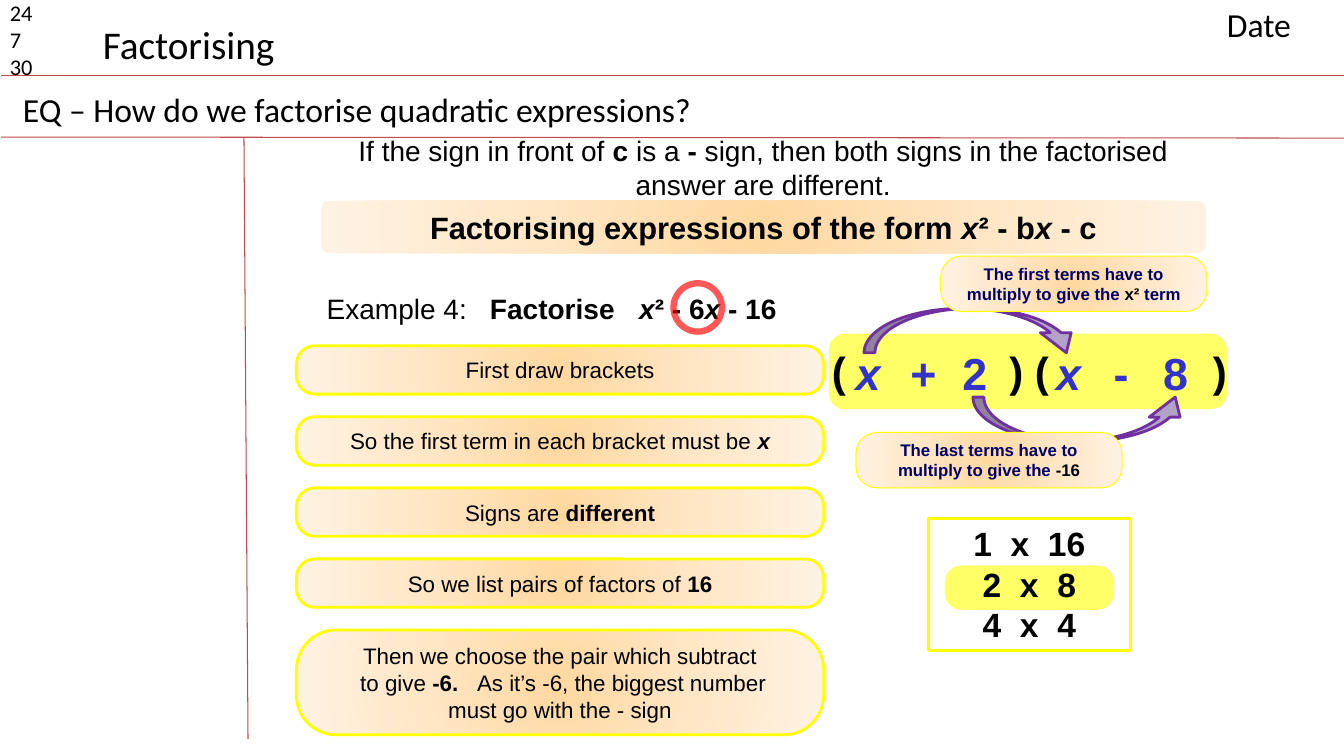
from pptx import Presentation
from pptx.dml.color import RGBColor
from pptx.enum.shapes import MSO_CONNECTOR as Conn, MSO_SHAPE as Kind
from pptx.enum.text import MSO_ANCHOR as Anchor, MSO_AUTO_SIZE as Auto, PP_ALIGN as Align
from pptx.oxml import parse_xml
from pptx.oxml.ns import nsdecls, qn
from pptx.util import Inches, Pt
from lxml import etree

YELLOW, LEMON, BLACK, NAVY, BLUE = "FFFF00", "FFFF66", "000000", "000066", "3333CC"
GLOW = ((0, "FFD8A0"), (50, "FFE6C5"), (100, "FFF2E3"))
BOLD = {"bold": True}
ITALIC = {"italic": True}
BOTH = {"bold": True, "italic": True}
DARK = {"color": BLACK}


def rgb(code):
    return RGBColor.from_string(code)


def style(font, values):
    for key, value in values.items():
        if key == "color":
            font.color.rgb = rgb(value)
        else:
            setattr(font, key, Pt(value) if key == "size" else value)


def write(shape, lines, align=Align.CENTER, anchor=Anchor.TOP, wrap=True,
          inset=(0.1, 0.05), tabs=(), **base):
    """Fill a shape with lines; each is a list of plain strings or (text, format) pairs."""
    frame = shape.text_frame
    side, edge = (Inches(n) for n in inset)
    values = {"auto_size": Auto.NONE, "word_wrap": wrap, "vertical_anchor": anchor,
              "margin_left": side, "margin_right": 0 if tabs else side,
              "margin_top": edge, "margin_bottom": edge}
    for key, value in values.items():
        setattr(frame, key, value)
    base = {"name": "Arial", "size": 16, "color": BLACK, **base}
    for i, line in enumerate(lines):
        para = frame.paragraphs[0] if i == 0 else frame.add_paragraph()
        para.alignment = align
        if tabs:
            stops = etree.SubElement(para._p.get_or_add_pPr(), qn("a:tabLst"))
            for stop in tabs:
                etree.SubElement(stops, qn("a:tab"), pos=str(Inches(stop)), algn="l")
        for part in line:
            text, extra = (part, {}) if isinstance(part, str) else part
            run = para.add_run()
            run.text = text
            style(run.font, {**base, **extra})


def label(slide, box, lines, **look):
    text = slide.shapes.add_textbox(*map(Inches, box))
    write(text, lines, **look)


def glow(shape):
    """Give the shape a radial gradient."""
    shape.fill.background()
    stops = "".join(f'<a:gs pos="{at * 1000}"><a:srgbClr val="{code}"/></a:gs>'
                    for at, code in GLOW)
    grad = parse_xml(
        f'<a:gradFill {nsdecls("a")} rotWithShape="1"><a:gsLst>{stops}</a:gsLst>'
        '<a:path path="circle"><a:fillToRect l="50000" t="50000" r="50000" b="50000"/>'
        '</a:path></a:gradFill>')
    props = shape._element.spPr
    props.replace(props.find(qn("a:noFill")), grad)


def draw(slide, kind, box, fill=None, line=None, width=1, adj=()):
    shape = slide.shapes.add_shape(kind, *map(Inches, box))
    shape.shadow.inherit = False
    for i, value in enumerate(adj):
        shape.adjustments[i] = value
    if fill == GLOW:
        glow(shape)
    elif fill:
        shape.fill.solid()
        shape.fill.fore_color.rgb = rgb(fill)
    else:
        shape.fill.background()
    if line:
        shape.line.color.rgb = rgb(line)
        shape.line.width = Pt(width)
    else:
        shape.line.fill.background()
    return shape


def card(slide, box, lines, width=2, **look):
    shape = draw(slide, Kind.ROUNDED_RECTANGLE, box, GLOW, YELLOW, width, [0.378])
    write(shape, lines, anchor=Anchor.MIDDLE, **look)


def rule(slide, ends):
    line = slide.shapes.add_connector(Conn.STRAIGHT, *map(Inches, ends))
    line.line.color.rgb = rgb("BF4C48")
    line.line.width = Pt(0.75)
    etree.SubElement(line._element.spPr, qn("a:effectLst"))


def hint(slide, arrow, box, lines, flip=False):
    """Draw a curved arrow with its callout on top."""
    curve = draw(slide, Kind.CURVED_DOWN_ARROW, arrow, "B3A2C7", "7030A0", 2,
                 [0.246, 0.696, 0.452])
    if flip:
        curve._element.spPr.find(qn("a:xfrm")).set("flipV", "1")
    card(slide, box, lines, 0.75, inset=(0.15, 0), size=12, color=NAVY, bold=True)


def header(slide):
    for ends in ((0.01, 0.75, 13.33, 0.75), (0.01, 1.36, 13.33, 1.37),
                 (2.42, 1.37, 2.46, 7.33)):
        rule(slide, ends)
    title = slide.shapes.title
    spots = {"left": 0.92, "top": 0.15, "width": 1.92, "height": 0.57}
    for key, value in spots.items():
        setattr(title, key, Inches(value))
    look = {"align": Align.LEFT, "name": "Calibri"}
    write(title, [["Factorising"]], wrap=False, size=28, **look)
    label(slide, (0, -0.06, 0.63, 0.91), [["24"], ["7"], ["30"]], **look)
    label(slide, (12.07, -0.01, 1.2, 0.5), [["Date"]], size=24, **look)
    label(slide, (0.13, 0.83, 9.43, 0.5),
          [["EQ – How do we factorise quadratic expressions?"]], size=24, **look)


def intro(slide):
    banner = draw(slide, Kind.ROUNDED_RECTANGLE, (3.18, 1.99, 8.78, 0.52), GLOW)
    write(banner, [["Factorising expressions of the form ", ("x", ITALIC), "² - b",
                    ("x", ITALIC), " - c"]], anchor=Anchor.MIDDLE, size=22, bold=True)
    label(slide, (3.18, 1.28, 8.78, 0.77),
          [["If the sign in front of ", ("c", BOLD), " is a", (" - ", BOLD),
            "sign, then both signs in the factorised answer are different."]], size=20)
    label(slide, (2.89, 2.84, 5.16, 0.44),
          [["Example 4:\t", ("Factorise\t", BOLD), ("x", BOTH), ("² - 6", BOLD),
            ("x", BOTH), (" - 16", BOLD)]],
          align=Align.LEFT, inset=(0.35, 0.05), tabs=(1.62, 3.1), size=20)


def steps(slide):
    lists = (
        [["First draw brackets"]],
        [["So the first term in each bracket must be ", ("x", BOTH)]],
        [["Signs are ", ("different", BOLD)]],
        [["So we list pairs of factors of ", ("16", BOLD)]],
        [["Then we choose the pair which subtract"],
         [" to give ", ("-6.   ", BOLD), "As it’s -6, the biggest number"],
         ["must go with the - sign"]],
    )
    top, last = 3.43, 6.25
    pitch = (last - top) / (len(lists) - 1)
    for i, lines in enumerate(lists):
        height = 1.04 if len(lines) > 1 else 0.48
        card(slide, (2.94, top + i * pitch, 5.23, height), lines, inset=(0.1, 0))


def answer(slide):
    draw(slide, Kind.ROUNDED_RECTANGLE, (8.22, 3.31, 3.95, 0.75), LEMON, adj=[0.216])
    label(slide, (8.01, 3.38, 4.39, 0.61), [["(\t) (\t)"]], align=Align.LEFT,
          inset=(0.24, 0.05), tabs=(1.76, 3.78), size=30, bold=True)
    for left, sign, number in ((8.37, "+", "2"), (10.36, "-", "8")):
        for shift, width, term in ((0, 0.48, ("x", ITALIC)), (0.56, 0.4, sign),
                                   (0.88, 0.84, number)):
            label(slide, (left + shift, 3.38, width, 0.64), [[term]],
                  size=32, color=BLUE, bold=True)


def factors(slide):
    draw(slide, Kind.ROUNDED_RECTANGLE, (9.37, 5.61, 1.68, 0.44), LEMON, adj=[0.379])
    frame = draw(slide, Kind.RECTANGLE, (9.21, 5.14, 2, 1.31), None, YELLOW, 2.25)
    write(frame, [["1  x  16"], ["2  x  8"], ["4  x  4"]], size=24, bold=True)


def ring(slide):
    shape = draw(slide, Kind.OVAL, (6.68, 2.81, 0.48, 0.48), None, "FF0000", 4.5)
    tint = shape._element.spPr.find(qn("a:ln")).find(".//" + qn("a:srgbClr"))
    etree.SubElement(tint, qn("a:alpha"), val="65000")


def main():
    deck = Presentation()
    deck.slide_width, deck.slide_height = Inches(13.33), Inches(7.5)
    slide = deck.slides.add_slide(deck.slide_layouts[5])
    header(slide)
    intro(slide)
    steps(slide)
    answer(slide)
    factors(slide)
    hint(slide, (8.57, 3.06, 2.16, 0.44), (9.33, 2.54, 2.64, 0.55),
         [["The first terms have to multiply to give the ", ("x²", DARK), " term"]])
    hint(slide, (9.65, 3.94, 2.16, 0.44), (8.49, 4.29, 2.64, 0.55),
         [["The last terms have to multiply to give the ", ("-16", DARK)]], flip=True)
    ring(slide)
    deck.save("out.pptx")


if __name__ == "__main__":
    main()
